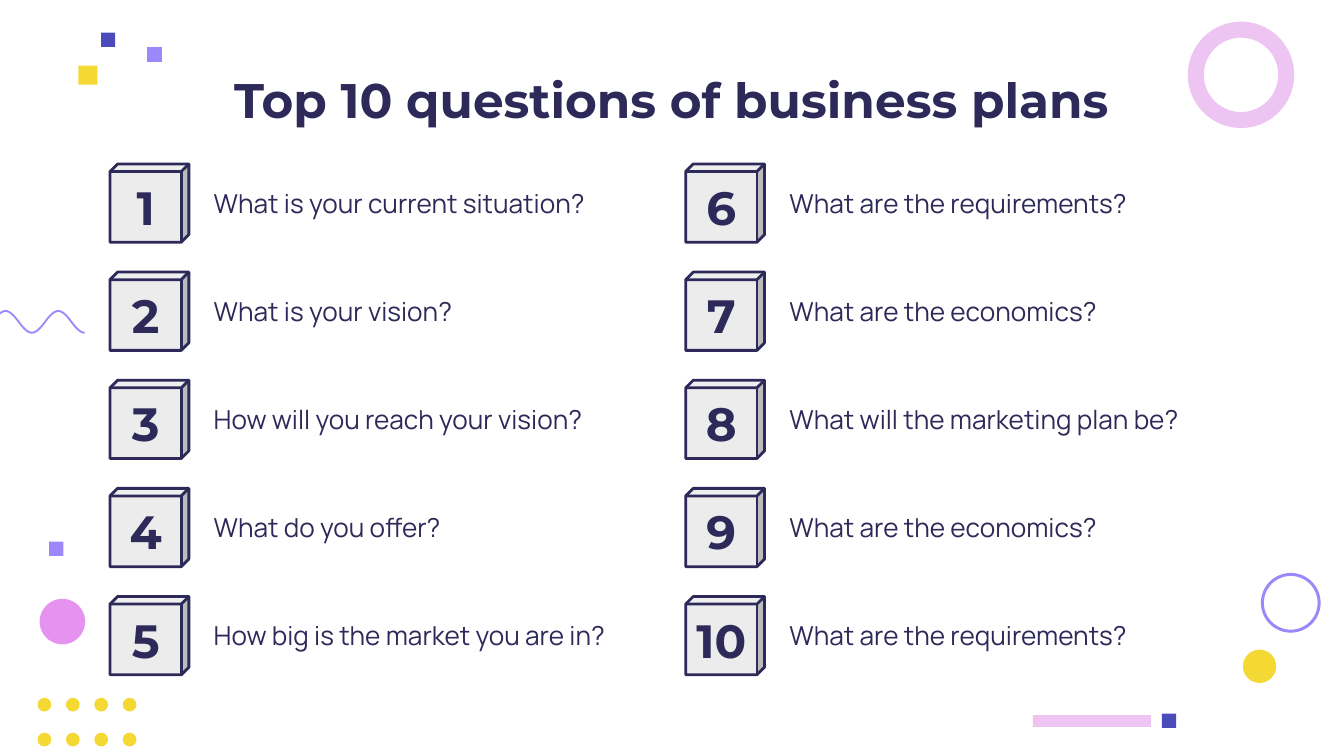
from dataclasses import dataclass
from itertools import product
from math import cos, pi

from pptx import Presentation
from pptx.dml.color import RGBColor
from pptx.enum.shapes import MSO_SHAPE
from pptx.enum.text import MSO_ANCHOR, MSO_AUTO_SIZE, PP_ALIGN
from pptx.util import Cm, Pt

NAVY, INDIGO, VIOLET = "2D2958", "4B4BBB", "9C88FA"
YELLOW, PINK, ORCHID, GREY = "F4D834", "EDC4F2", "E592F1", "ECECEC"
HEADING_FONT, BODY_FONT = "Montserrat", "Manrope"
INSET = 0.25

QUESTION_COLUMNS = [
    [
        "What is your current situation?",
        "What is your vision?",
        "How will you reach your vision?",
        "What do you offer?",
        "How big is the market you are in?",
    ],
    [
        "What are the requirements?",
        "What are the economics?",
        "What will the marketing plan be?",
        "What are the economics?",
        "What are the requirements?",
    ],
]


@dataclass
class Box:
    """A rectangle in centimetres."""
    left: float
    top: float
    width: float
    height: float

    def inner(self, left, top, width, height):
        """Return a box placed relative to this one."""
        return Box(self.left + left, self.top + top, width, height)

    def lengths(self):
        return [Cm(n) for n in (self.left, self.top, self.width, self.height)]


def colour(hex_string):
    return RGBColor.from_string(hex_string)


def add_filled(page, kind, box, fill):
    shape = page.shapes.add_shape(kind, *box.lengths())
    shape.shadow.inherit = False
    shape.fill.solid()
    shape.fill.fore_color.rgb = colour(fill)
    shape.line.fill.background()
    return shape


def write(frame, text, font, size, bold=False, align=PP_ALIGN.LEFT, side=INSET):
    frame.word_wrap = True
    frame.auto_size = MSO_AUTO_SIZE.NONE
    frame.vertical_anchor = MSO_ANCHOR.MIDDLE
    frame.margin_left = frame.margin_right = Cm(side)
    frame.margin_top = frame.margin_bottom = Cm(INSET)
    para = frame.paragraphs[0]
    para.alignment = align
    span = para.add_run()
    span.text = text
    span.font.name = font
    span.font.size = Pt(size)
    span.font.bold = bold
    span.font.color.rgb = colour(NAVY)


def add_title(page, box, text):
    title = page.shapes.title
    title.left, title.top, title.width, title.height = box.lengths()
    write(title.text_frame, text, HEADING_FONT, 26, True, PP_ALIGN.CENTER)


def add_question(page, box, number, text):
    cube = add_filled(page, MSO_SHAPE.CUBE, box.inner(0, 0, 1.49, 1.48), GREY)
    cube.adjustments[0] = 0.097
    cube.line.color.rgb = colour(NAVY)
    cube.line.width = Pt(1.5)
    write(cube.text_frame, str(number), HEADING_FONT, 25, True, PP_ALIGN.CENTER, 0)
    label = page.shapes.add_textbox(*box.inner(1.71, 0.11, 8.74, 1.24).lengths())
    write(label.text_frame, text, BODY_FONT, 14)


def add_question_grid(page, box, columns):
    column_step = box.width / len(columns)
    number = 0
    for column, questions in enumerate(columns):
        row_step = box.height / len(questions)
        for row, text in enumerate(questions):
            number += 1
            cell = box.inner(column * column_step, row * row_step, column_step, row_step)
            add_question(page, cell, number, text)


def add_squares(page, box):
    for left, top, side, fill in [
        (0, 0.62, 0.36, YELLOW),
        (1.3, 0.27, 0.28, VIOLET),
        (0.43, 0, 0.27, INDIGO),
    ]:
        add_filled(page, MSO_SHAPE.RECTANGLE, box.inner(left, top, side, side), fill)


def add_ring(page, box, fill, thickness):
    ring = add_filled(page, MSO_SHAPE.DONUT, box, fill)
    ring.adjustments[0] = thickness


def add_wave(page, box, periods):
    """Draw a cosine line that starts on a crest and fills the box."""
    steps = 100
    points = []
    for step in range(steps + 1):
        share = step / steps
        drop = (1 - cos(2 * pi * periods * share)) / 2
        points.append((Cm(box.left + share * box.width), Cm(box.top + drop * box.height)))
    builder = page.shapes.build_freeform(*points[0])
    builder.add_line_segments(points[1:], close=False)
    wave = builder.convert_to_shape()
    wave.shadow.inherit = False
    wave.fill.background()
    wave.line.color.rgb = colour(VIOLET)
    wave.line.width = Pt(1)


def add_dot_grid(page, box, columns, rows, size):
    column_step = (box.width - size) / (columns - 1)
    row_step = (box.height - size) / (rows - 1)
    for column, row in product(range(columns), range(rows)):
        dot = box.inner(column * column_step, row * row_step, size, size)
        add_filled(page, MSO_SHAPE.OVAL, dot, YELLOW)


def add_left_marks(page, box):
    add_filled(page, MSO_SHAPE.RECTANGLE, box.inner(0.18, 0, 0.27, 0.27), VIOLET)
    add_filled(page, MSO_SHAPE.OVAL, box.inner(0, 1.08, 0.86, 0.86), ORCHID)


def add_right_marks(page, box):
    add_ring(page, box.inner(0.34, 0, 1.13, 1.13), VIOLET, 0.05)
    add_filled(page, MSO_SHAPE.OVAL, box.inner(0, 1.45, 0.63, 0.63), YELLOW)


def add_footer_bar(page, box):
    add_filled(page, MSO_SHAPE.RECTANGLE, box.inner(0, 0.03, 2.23, 0.22), PINK)
    add_filled(page, MSO_SHAPE.RECTANGLE, box.inner(2.44, 0, 0.27, 0.27), INDIGO)


def main():
    deck = Presentation()
    deck.slide_width, deck.slide_height = Cm(25.4), Cm(14.29)
    page = deck.slides.add_slide(deck.slide_layouts[5])
    page.background.fill.solid()
    page.background.fill.fore_color.rgb = colour("FFFFFF")

    add_dot_grid(page, Box(0.71, 13.19, 1.87, 0.92), 4, 2, 0.26)
    add_wave(page, Box(-0.89, 5.88, 2.49, 0.41), 2.5)
    add_ring(page, Box(22.45, 0.41, 2.01, 2.01), PINK, 0.15)
    add_squares(page, Box(1.48, 0.62, 1.58, 0.98))
    add_left_marks(page, Box(0.75, 10.24, 0.86, 1.94))
    add_right_marks(page, Box(23.49, 10.83, 1.47, 2.08))
    add_footer_bar(page, Box(19.52, 13.49, 2.71, 0.27))
    add_title(page, Box(2.11, 1.07, 21.18, 1.6), "Top 10 questions of business plans")
    add_question_grid(page, Box(2.08, 3.1, 21.76, 10.22), QUESTION_COLUMNS)
    deck.save("out.pptx")


if __name__ == "__main__":
    main()
